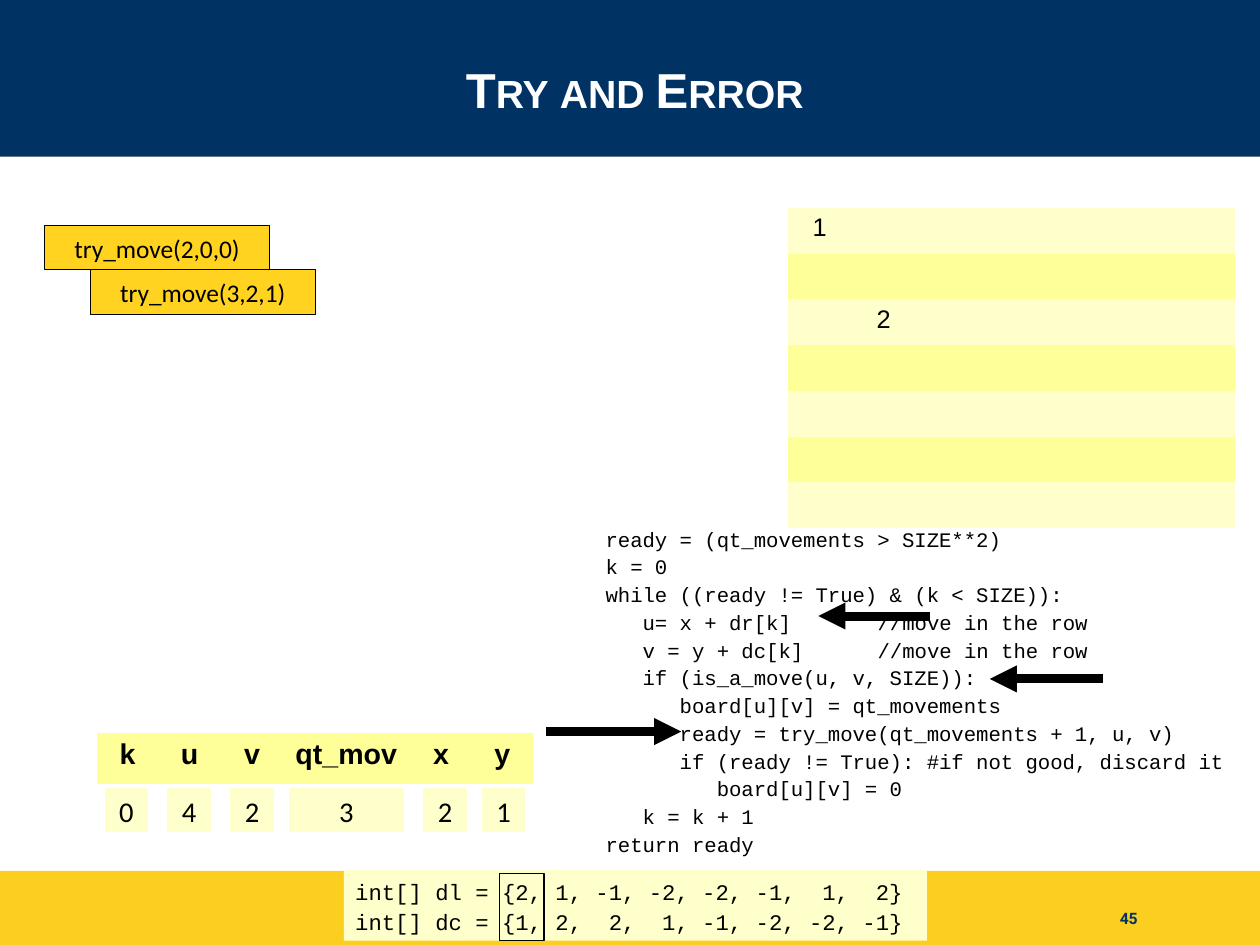
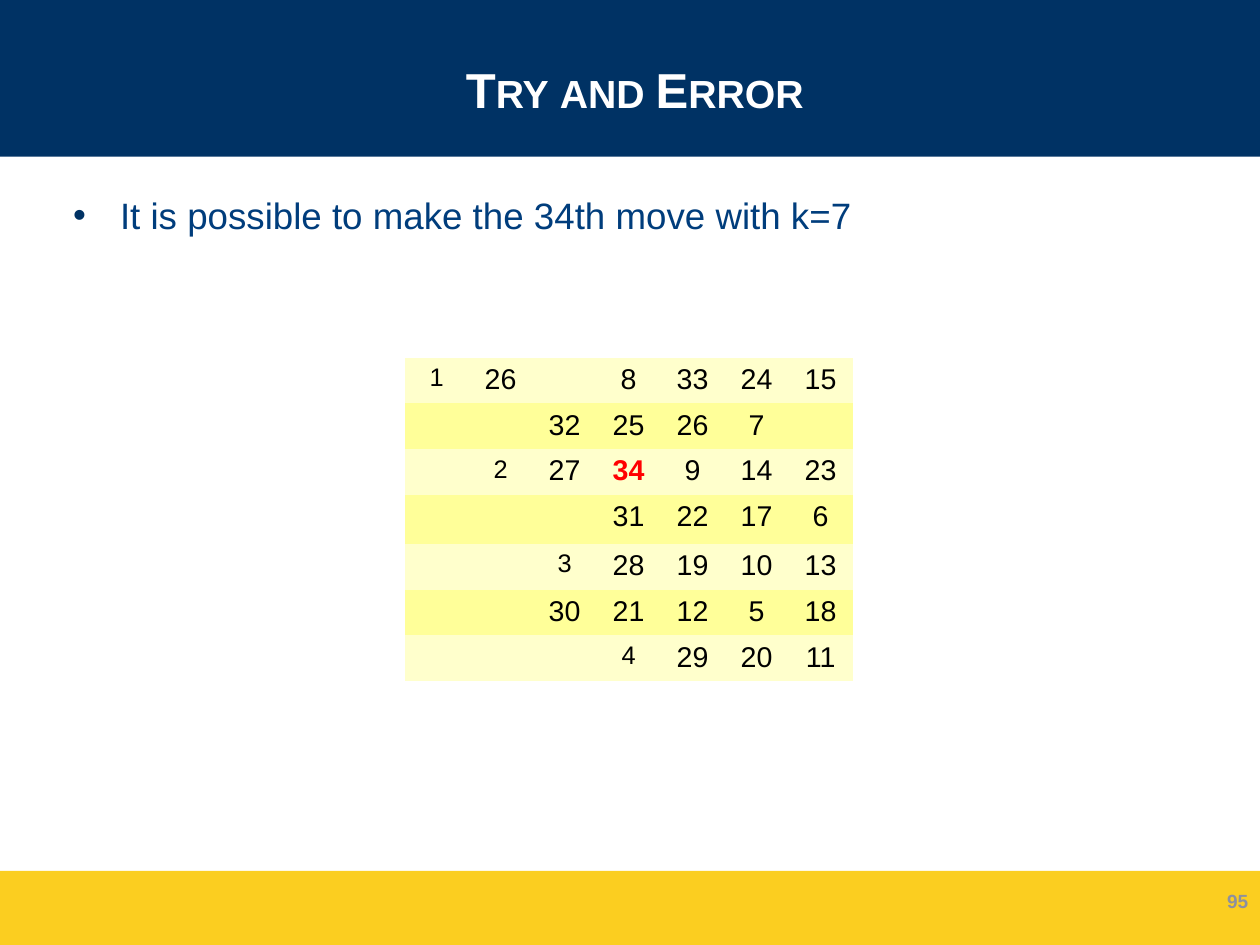
from lxml import etree
from pptx import Presentation
from pptx.dml.color import RGBColor
from pptx.enum.shapes import MSO_CONNECTOR, MSO_SHAPE
from pptx.enum.text import MSO_ANCHOR, MSO_AUTO_SIZE, PP_ALIGN
from pptx.oxml.ns import qn
from pptx.util import Cm, Inches, Pt

NAVY, YELLOW, WHITE, BLACK = "003264", "FBCE20", "FFFFFF", "000000"
PALE, LEMON, GOLD = "FFFFCC", "FFFF99", "FFD320"
NO_STYLE = "{2D5ABB26-0587-4C30-8999-92F81FD0307C}"
rgb = RGBColor.from_string


def write(tf, text, font, size, color=BLACK, bold=False, align=PP_ALIGN.CENTER,
          spacing=None, tab=None):
    """Fill a text frame, one paragraph per line of text."""
    tf.word_wrap = True
    tf.text = text
    for p in tf.paragraphs:
        p.alignment = align
        if spacing:
            p.line_spacing = spacing
        if tab:
            stops = etree.SubElement(p._p.get_or_add_pPr(), qn("a:tabLst"))
            etree.SubElement(stops, qn("a:tab"), pos=str(Inches(tab)), algn="l")
        p.font.name = font
        p.font.size = Pt(size)
        p.font.bold = bold
        p.font.color.rgb = rgb(color)


def add_box(s, x, y, w, h, fill=None, line=None):
    sp = s.shapes.add_shape(MSO_SHAPE.RECTANGLE, Inches(x), Inches(y), Inches(w), Inches(h))
    sp.shadow.inherit = False
    if fill:
        sp.fill.solid()
        sp.fill.fore_color.rgb = rgb(fill)
    else:
        sp.fill.background()
    if line:
        sp.line.color.rgb = rgb(line)
        sp.line.width = Pt(0.75)
    else:
        sp.line.fill.background()
    return sp


prs = Presentation()
prs.slide_width, prs.slide_height = Cm(28), Cm(21)
trace = prs.slides.add_slide(prs.slide_layouts[5])
result = prs.slides.add_slide(prs.slide_layouts[1])

# Bands live on the master, behind everything
bands = [(0, 1.37, NAVY), (1.39, 0.48, WHITE), (7.62, 0.64, YELLOW)]
for i, (y, h, fill) in enumerate(bands):
    band = add_box(trace, 0, y, 11.02, h, fill)
    band.width = prs.slide_width
    prs.slide_master.shapes._spTree.insert(2 + i, band._element)
band.height = prs.slide_height - band.top

# Titles and page numbers
pages = [
    (trace, "45", (8.73, 7.9, 2.29, 0.36), "Roboto", 9.9, NAVY, PP_ALIGN.CENTER, MSO_ANCHOR.TOP),
    (result, "95", (8.45, 7.66, 2.57, 0.44), "Arial", 12, "8C90A0", PP_ALIGN.RIGHT,
     MSO_ANCHOR.MIDDLE),
]
for s, number, at, font, size, color, align, anchor in pages:
    title = s.shapes.title
    title.left, title.top = Inches(0.54), Inches(0.18)
    title.width, title.height = Inches(10.03), Inches(1.19)
    tf = title.text_frame
    tf.auto_size = MSO_AUTO_SIZE.NONE
    tf.vertical_anchor = MSO_ANCHOR.MIDDLE
    p = tf.paragraphs[0]
    p.alignment = PP_ALIGN.CENTER
    r = p.add_run()
    r.text = "Try and Error"
    r.font.name, r.font.size, r.font.bold = "Arial", Pt(30.9), True
    r.font.color.rgb = rgb(WHITE)
    r.font._rPr.set("cap", "small")

    tf = s.shapes.add_textbox(*map(Inches, at)).text_frame
    tf.vertical_anchor = anchor
    write(tf, number, font, size, color, bold=True, align=align)

# Slide 1: code
CODE = """ready = (qt_movements > SIZE**2)
k = 0
while ((ready != True) & (k < SIZE)):
   u= x + dr[k]\t//move in the row
   v = y + dc[k]\t//move in the row
   if (is_a_move(u, v, SIZE)):
      board[u][v] = qt_movements
      ready = try_move(qt_movements + 1, u, v)
      if (ready != True): #if not good, discard it
         board[u][v] = 0
   k = k + 1
return ready"""
code = trace.shapes.add_textbox(Inches(5.2), Inches(4.53), Inches(5.75), Inches(2.99))
write(code.text_frame, CODE, "Courier New", 13, align=PP_ALIGN.LEFT, spacing=1.12, tab=2.38)

OFFSETS = """int[] dl = {2, 1, -1, -2, -2, -1,  1,  2}
int[] dc = {1, 2,  2,  1, -1, -2, -2, -1}"""
offsets = add_box(trace, 3.01, 7.61, 5.1, 0.62, PALE)
offsets.text_frame.vertical_anchor = MSO_ANCHOR.TOP
write(offsets.text_frame, OFFSETS, "Courier New", 14, align=PP_ALIGN.LEFT, spacing=1.12)
add_box(trace, 4.37, 7.64, 0.39, 0.59, line=BLACK)

# Slide 1: call stack and variable values
for i, call in enumerate(["try_move(2,0,0)", "try_move(3,2,1)"]):
    sp = add_box(trace, 0.39 + 0.4 * i, 1.97 + 0.39 * i, 1.97, 0.39, GOLD, BLACK)
    sp.text_frame.margin_top = Inches(0.06)
    write(sp.text_frame, call, "Calibri", 16)

values = [("0", 0.91, 0.39), ("4", 1.46, 0.39), ("2", 2.01, 0.39),
          ("3", 2.52, 1.02), ("2", 3.7, 0.39), ("1", 4.21, 0.39)]
for value, x, w in values:
    sp = add_box(trace, x, 6.89, w, 0.39, PALE, WHITE)
    sp.text_frame.margin_top = Inches(0.07)
    write(sp.text_frame, value, "Calibri", 18)

# Slide 2: statement
body = result.placeholders[1]
body.left, body.top = Inches(0.54), Inches(1.64)
body.width, body.height = Inches(10.03), Inches(6.03)
tf = body.text_frame
tf.auto_size = MSO_AUTO_SIZE.NONE
write(tf, "It is possible to make the 34th move with k=7", "Arial", 23.1, "003D7C",
      align=PP_ALIGN.LEFT)
p = tf.paragraphs[0]
p.space_before = Pt(0)
pPr = p._p.get_or_add_pPr()
pPr.set("marL", str(Inches(0.41)))
pPr.set("indent", str(-Inches(0.41)))
bullet_color = etree.Element(qn("a:buClr"))
etree.SubElement(bullet_color, qn("a:srgbClr"), val=NAVY)
for bullet in (bullet_color, etree.Element(qn("a:buChar"), char="•")):
    pPr.find(qn("a:defRPr")).addprevious(bullet)

# Tables: two boards and the variable names
start = [[""] * 7 for _ in range(7)]
start[0][0], start[2][1] = "1", "2"
filled = [
    ["1", "26", "", "8", "33", "24", "15"],
    ["", "", "32", "25", "26", "7", ""],
    ["", "2", "27", "34", "9", "14", "23"],
    ["", "", "", "31", "22", "17", "6"],
    ["", "", "3", "28", "19", "10", "13"],
    ["", "", "30", "21", "12", "5", "18"],
    ["", "", "", "4", "29", "20", "11"],
]
names = [["k", "u", "v", "qt_mov", "x", "y"]]
tables = [
    (trace, 6.89, 1.82, [0.56] * 7, [0.4] * 7, start, (PALE, LEMON)),
    (trace, 0.85, 6.41, [0.53, 0.56, 0.53, 1.12, 0.54, 0.53], [0.45], names, (LEMON,)),
    (result, 3.54, 3.13, [0.56] * 7, [0.4] * 3 + [0.43] + [0.4] * 3, filled, (PALE, LEMON)),
]
for s, x, y, widths, heights, rows, fills in tables:
    frame = s.shapes.add_table(len(rows), len(widths), Inches(x), Inches(y),
                               Inches(sum(widths)), Inches(sum(heights)))
    table = frame.table
    table.first_row = table.horz_banding = False
    table._tbl.tblPr.find(qn("a:tableStyleId")).text = NO_STYLE
    for column, w in zip(table.columns, widths):
        column.width = Inches(w)
    for i, row in enumerate(rows):
        table.rows[i].height = Inches(heights[i])
        for j, text in enumerate(row):
            cell = table.cell(i, j)
            cell.fill.solid()
            cell.fill.fore_color.rgb = rgb(fills[i % len(fills)])
            cell.margin_top = Inches(0.07 if text else 0.02)
            cell.margin_bottom = Inches(0.05 if text else 0.02)
            latest = text == "34"
            write(cell.text_frame, text, "Arial", 16 if text in ("1", "2", "3", "4") else 18,
                  "FF0000" if latest else BLACK, bold=latest or rows is names, spacing=0.93)

# Slide 1: arrows to the active code lines
for x1, x2, y in [(8.14, 7.16, 5.39), (9.65, 8.66, 5.94), (4.78, 5.96, 6.4)]:
    arrow = trace.shapes.add_connector(MSO_CONNECTOR.STRAIGHT, Inches(x1), Inches(y),
                                       Inches(x2), Inches(y))
    arrow.line.color.rgb = rgb(BLACK)
    arrow.line.width = Pt(5.67)
    etree.SubElement(arrow.line._get_or_add_ln(), qn("a:tailEnd"), type="triangle")
    etree.SubElement(arrow._element.spPr, qn("a:effectLst"))

prs.save("out.pptx")
